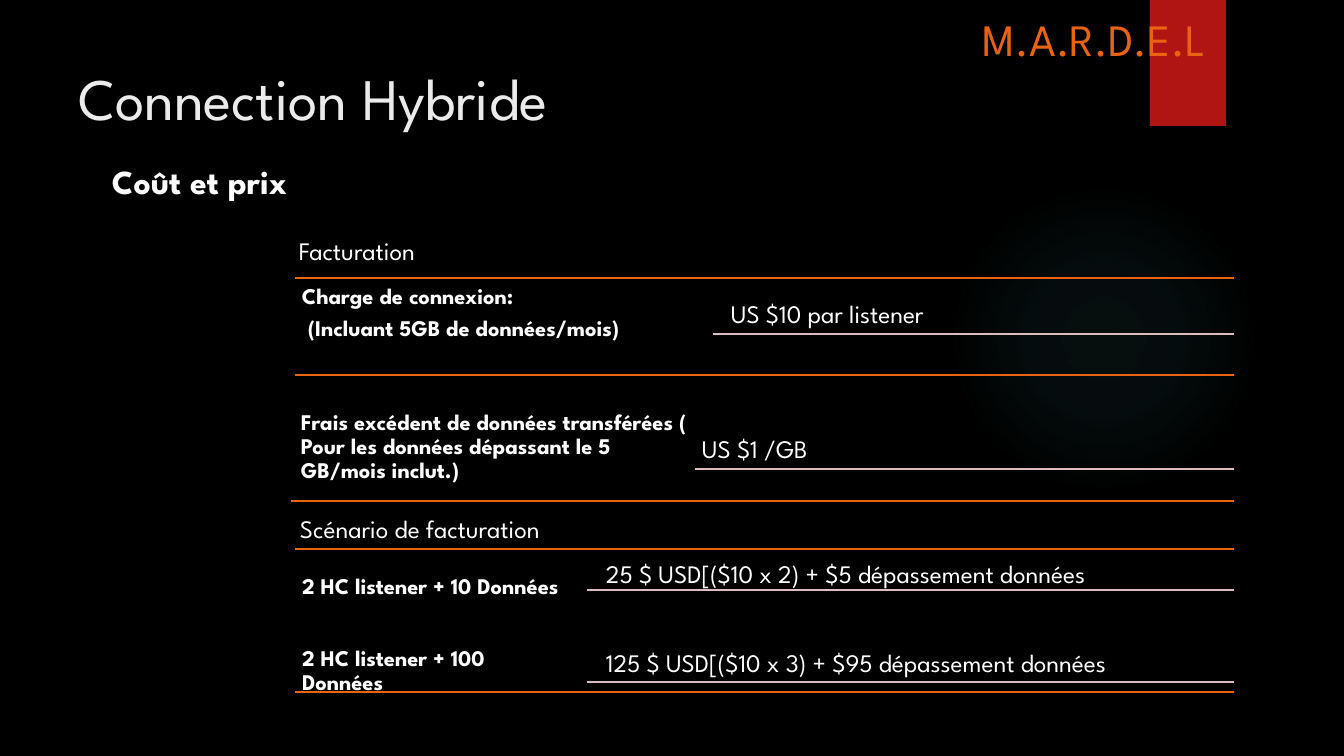
from lxml import etree
from pptx import Presentation
from pptx.dml.color import RGBColor
from pptx.enum.shapes import MSO_CONNECTOR, MSO_SHAPE
from pptx.enum.text import MSO_ANCHOR, MSO_AUTO_SIZE, PP_ALIGN
from pptx.oxml import parse_xml
from pptx.oxml.ns import nsdecls, qn
from pptx.util import Pt

LINE = MSO_CONNECTOR.STRAIGHT
RECT, OVAL = MSO_SHAPE.RECTANGLE, MSO_SHAPE.OVAL
TOP, LEFT, FIXED = MSO_ANCHOR.TOP, PP_ALIGN.LEFT, MSO_AUTO_SIZE.NONE

FONT = "League Spartan"
WHITE, ORANGE, PINK = "FFFFFF", "EA6312", "DCBDBD"
RIGHT = 1234

TITLE = "Connection Hybride"
HEADS = [
    ("Coût et prix", 102, 156, 218, 50, 24, True, WHITE),
    ("Facturation", 289, 230, 334, 40, 18, False, WHITE),
    ("Scénario de facturation", 290, 508, 334, 40, 18, False, WHITE),
    ("M.A.R.D.E.L", 973, 7, 270, 65, 32, False, ORANGE),
]
LABELS = [
    ("Charge de connexion:\n (Incluant 5GB de données/mois)", 295, 278, 938, 97),
    ("Frais excédent de données transférées ( Pour les données "
     "dépassant le 5 GB/mois inclut.)", 294, 404, 400, 96),
    ("2 HC listener + 10 Données", 295, 568, 291, 90),
    ("2 HC listener + 100 Données", 295, 640, 273, 52),
]
PRICES = [
    ("US $10 par listener", 724, 295, 499, 30),
    ("US $1 /GB", 695, 430, 528, 30),
    ("25 $ USD[($10 x 2) + $5 dépassement données", 599, 555, 634, 30),
    ("125 $ USD[($10 x 3) + $95 dépassement données", 599, 644, 634, 30),
]
RULES = {
    ORANGE: [(295, 278), (295, 375), (291, 501), (295, 549), (295, 692)],
    PINK: [(713, 334), (695, 469), (587, 590), (587, 682)],
}
GLOW = [(0, 7), (36, 6), (69, 0)]


def px(n):
    return n * 12192000 // 1344


def rgb(code):
    return RGBColor.from_string(code)


def style(frame, size, bold, color, gap=None):
    for para in frame.paragraphs:
        para.alignment = LEFT
        if gap:
            para.line_spacing = 0.9
            para.space_after = Pt(gap)
        for run in para.runs:
            font = run.font
            font.name, font.size, font.bold = FONT, Pt(size), bold
            font.color.rgb = rgb(color)


def write(text, x, y, w, h, size, bold, color, side=10, top=5, gap=None):
    box = slide.shapes.add_textbox(px(x), px(y), px(w), px(h))
    frame = box.text_frame
    frame.word_wrap = True
    frame.vertical_anchor = TOP
    frame.margin_left = frame.margin_right = px(side)
    frame.margin_top = frame.margin_bottom = px(top)
    frame.text = text
    style(frame, size, bold, color, gap)


def block(kind, x, y, w, h, color):
    shape = slide.shapes.add_shape(kind, px(x), px(y), px(w), px(h))
    shape.shadow.inherit = False
    shape.fill.solid()
    shape.fill.fore_color.rgb = rgb(color)
    shape.line.fill.background()
    return shape


def glow(shape, color):
    stops = "".join(
        f'<a:gs pos="{pos * 1000}"><a:srgbClr val="{color}">'
        f'<a:alpha val="{alpha * 1000}"/></a:srgbClr></a:gs>'
        for pos, alpha in GLOW)
    grad = parse_xml(
        f'<a:gradFill {nsdecls("a")}><a:gsLst>{stops}</a:gsLst>'
        '<a:path path="circle"><a:fillToRect l="50000" t="50000" '
        'r="50000" b="50000"/></a:path></a:gradFill>')
    props = shape.element.spPr
    props.replace(props.find(qn("a:solidFill")), grad)


def rule(x, y, color):
    line = slide.shapes.add_connector(LINE, px(x), px(y), px(RIGHT), px(y))
    line.line.color.rgb = rgb(color)
    line.line.width = Pt(1.5)
    etree.SubElement(line.element.spPr, qn("a:effectLst"))


deck = Presentation()
deck.slide_width, deck.slide_height = px(1344), px(756)
slide = deck.slides.add_slide(deck.slide_layouts[5])
slide.background.fill.solid()
slide.background.fill.fore_color.rgb = rgb("000000")

glow(block(OVAL, 949, 184, 310, 310, "50B9C1"), "50B9C1")
block(RECT, 1150, 0, 76, 126, "B01513")

title = slide.shapes.title
title.left, title.top, title.width, title.height = map(px, (68, 57, 1037, 154))
title.text_frame.text = TITLE
title.text_frame.auto_size = FIXED
title.text_frame.vertical_anchor = TOP
style(title.text_frame, 42, False, "EBEBEB")

for color, rows in RULES.items():
    for x, y in rows:
        rule(x, y, color)
for label in LABELS:
    write(*label, 16, True, WHITE, side=7, top=7, gap=6)
for price in PRICES:
    write(*price, 18, False, WHITE, side=7, top=7, gap=6)
for head in HEADS:
    write(*head)

deck.save("out.pptx")
